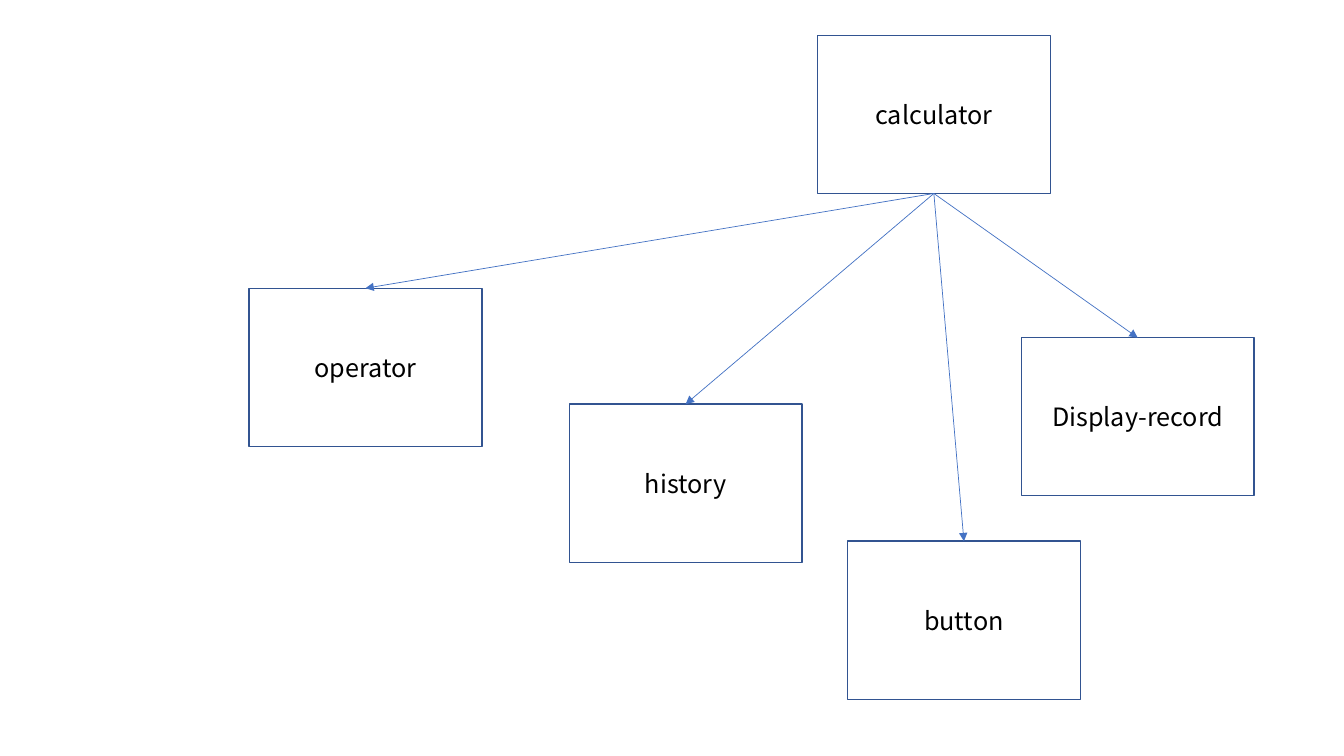
import pptx
import pptx.util
import pptx.dml.color
import pptx.enum.shapes
import pptx.enum.text
import pptx.oxml
import pptx.oxml.ns

Pt = pptx.util.Pt
COLORS = {"border": "325491", "arrow": "4472C4", "text": "000000"}
FONT = "Noto Sans CJK KR"
BOX_W, BOX_H = 166.3, 113
TOP, BOTTOM = 0, 2  # connection sites of a rectangle


def color(name):
    """Return the named colour."""
    return pptx.dml.color.RGBColor.from_string(COLORS[name])


class Chart:
    """Holds the style and the current slide."""

    def __init__(self, slide):
        """Keep the slide to draw on."""
        self.slide = slide

    def stroke(self, line, name, width):
        """Set the colour and width of a line."""
        line.color.rgb = color(name)
        line.width = Pt(width)

    def box(self, text, left, top):
        """Add an outlined box with centred text."""
        box = self.slide.shapes.add_shape(
            pptx.enum.shapes.MSO_SHAPE.RECTANGLE,
            Pt(left), Pt(top), Pt(BOX_W), Pt(BOX_H))
        box.shadow.inherit = False
        box.fill.background()
        self.stroke(box.line, "border", 1)
        frame = box.text_frame
        frame.text = text
        frame.vertical_anchor = pptx.enum.text.MSO_ANCHOR.MIDDLE
        para = frame.paragraphs[0]
        para.alignment = pptx.enum.text.PP_ALIGN.CENTER
        font = para.runs[0].font
        font.name = FONT
        font.size = Pt(18)
        font.color.rgb = color("text")
        return box

    def arrow(self, start, end):
        """Link the bottom of one box to the top of another."""
        link = self.slide.shapes.add_connector(
            pptx.enum.shapes.MSO_CONNECTOR.STRAIGHT, 0, 0, 0, 0)
        link.begin_connect(start, BOTTOM)
        link.end_connect(end, TOP)
        self.stroke(link.line, "arrow", 0.5)
        space = pptx.oxml.ns.nsdecls("a")
        tip = pptx.oxml.parse_xml(f'<a:tailEnd {space} type="triangle"/>')
        link.line._get_or_add_ln().append(tip)
        link._element.spPr.append(
            pptx.oxml.parse_xml(f"<a:effectLst {space}/>"))


def main():
    """Build the calculator diagram."""
    deck = pptx.Presentation()
    deck.slide_width, deck.slide_height = Pt(960), Pt(540)
    chart = Chart(deck.slides.add_slide(deck.slide_layouts[6]))
    root = chart.box("calculator", 583.9, 25.2)
    parts = [
        ("operator", 177.9, 205.9),
        ("history", 406.6, 288.7),
        ("button", 605.4, 386.6),
        ("Display-record", 729.5, 241.2),
    ]
    boxes = [chart.box(*part) for part in parts]
    for box in boxes:
        chart.arrow(root, box)
    deck.save("out.pptx")


main()
